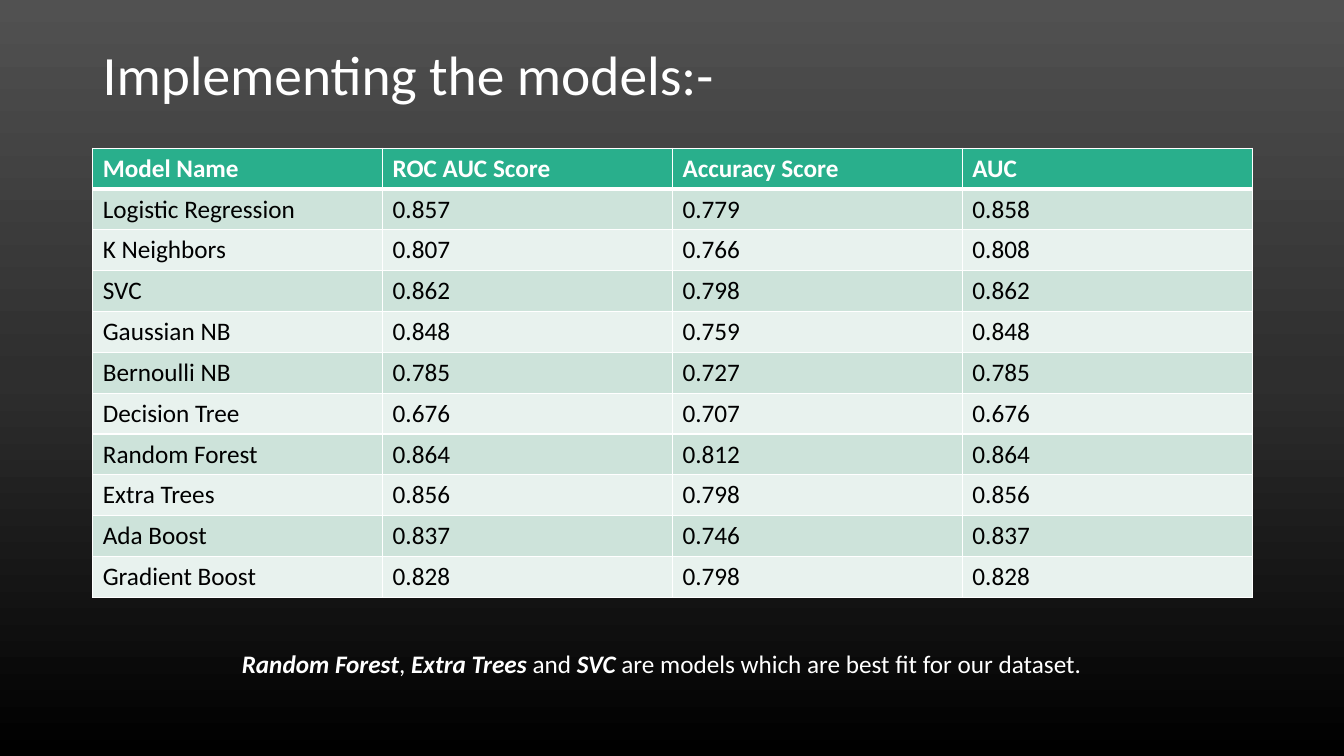
"""Build a slide that compares the scores of ten classification models."""
import lxml.etree
import pptx
import pptx.dml.color
import pptx.enum.text
import pptx.oxml.ns
import pptx.util

Inches = pptx.util.Inches
Pt = pptx.util.Pt
qn = pptx.oxml.ns.qn

COLORS = {
    "white": "FFFFFF",
    "black": "000000",
    "header": "29AF8C",
    "band_dark": "CDE3DA",
    "band_light": "E8F2EE",
    "back_top": "515151",
    "back_middle": "2E2E2E",
}
SCORES = [
    ("Model Name", "ROC AUC Score", "Accuracy Score", "AUC"),
    ("Logistic Regression", "0.857", "0.779", "0.858"),
    ("K Neighbors", "0.807", "0.766", "0.808"),
    ("SVC", "0.862", "0.798", "0.862"),
    ("Gaussian NB", "0.848", "0.759", "0.848"),
    ("Bernoulli NB", "0.785", "0.727", "0.785"),
    ("Decision Tree", "0.676", "0.707", "0.676"),
    ("Random Forest", "0.864", "0.812", "0.864"),
    ("Extra Trees", "0.856", "0.798", "0.856"),
    ("Ada Boost", "0.837", "0.746", "0.837"),
    ("Gradient Boost", "0.828", "0.798", "0.828"),
]
CONCLUSION = [
    ("Random Forest", True),
    (", ", False),
    ("Extra Trees", True),
    (" and ", False),
    ("SVC", True),
    (" are models which are best fit for our dataset.", False),
]


def add_span(para, text, size=18, color="white", bold=False, italic=False):
    span = para.add_run()
    span.text = text
    span.font.name = "Calibri"
    span.font.size = Pt(size)
    span.font.bold = bold
    span.font.italic = italic
    span.font.color.rgb = pptx.dml.color.RGBColor.from_string(COLORS[color])


def add_border(cell, side, width):
    line = lxml.etree.SubElement(
        cell._tc.get_or_add_tcPr(), qn("a:" + side), w=str(Pt(width)))
    fill = lxml.etree.SubElement(line, qn("a:solidFill"))
    lxml.etree.SubElement(fill, qn("a:srgbClr"), val=COLORS["white"])


deck = pptx.Presentation()
deck.slide_width = Inches(13.33)
deck.slide_height = Inches(7.5)
page = deck.slides.add_slide(deck.slide_layouts[6])

backdrop = page.background.fill
backdrop.gradient()
backdrop.gradient_angle = 270
stops = next(page._element.iter(qn("a:gsLst")))
for stop in list(stops):
    stops.remove(stop)
for percent, color in ((0, "back_top"), (50, "back_middle"), (100, "black")):
    stop = lxml.etree.SubElement(stops, qn("a:gs"), pos=str(percent * 1000))
    lxml.etree.SubElement(stop, qn("a:srgbClr"), val=COLORS[color])

title_box = page.shapes.add_textbox(
    Inches(0.92), Inches(0.4), Inches(11.5), Inches(0.73))
title_box.text_frame.word_wrap = True
title_box.text_frame.vertical_anchor = pptx.enum.text.MSO_ANCHOR.MIDDLE
title_para = title_box.text_frame.paragraphs[0]
title_para.line_spacing = 0.9
add_span(title_para, "Implementing the models:-", size=39.6)

table = page.shapes.add_table(
    len(SCORES), len(SCORES[0]),
    Inches(0.92), Inches(1.47), Inches(11.5), Inches(4.46)).table
for row, values in enumerate(SCORES):
    is_header = row == 0
    band = "header" if is_header else "band_dark" if row % 2 else "band_light"
    for column, value in enumerate(values):
        cell = table.cell(row, column)
        for side in ("lnL", "lnR", "lnT", "lnB"):
            thick = (row, side) in ((0, "lnB"), (1, "lnT"))
            add_border(cell, side, 3 if thick else 1)
        cell.fill.solid()
        cell.fill.fore_color.rgb = pptx.dml.color.RGBColor.from_string(COLORS[band])
        add_span(cell.text_frame.paragraphs[0], value, bold=is_header,
                 color="white" if is_header else "black")

conclusion_box = page.shapes.add_textbox(
    Inches(2.3), Inches(6.38), Inches(9.2), Inches(0.4))
conclusion_box.text_frame.word_wrap = True
conclusion_box.text_frame.auto_size = pptx.enum.text.MSO_AUTO_SIZE.SHAPE_TO_FIT_TEXT
for text, strong in CONCLUSION:
    add_span(conclusion_box.text_frame.paragraphs[0], text, bold=strong, italic=strong)

deck.save("out.pptx")
